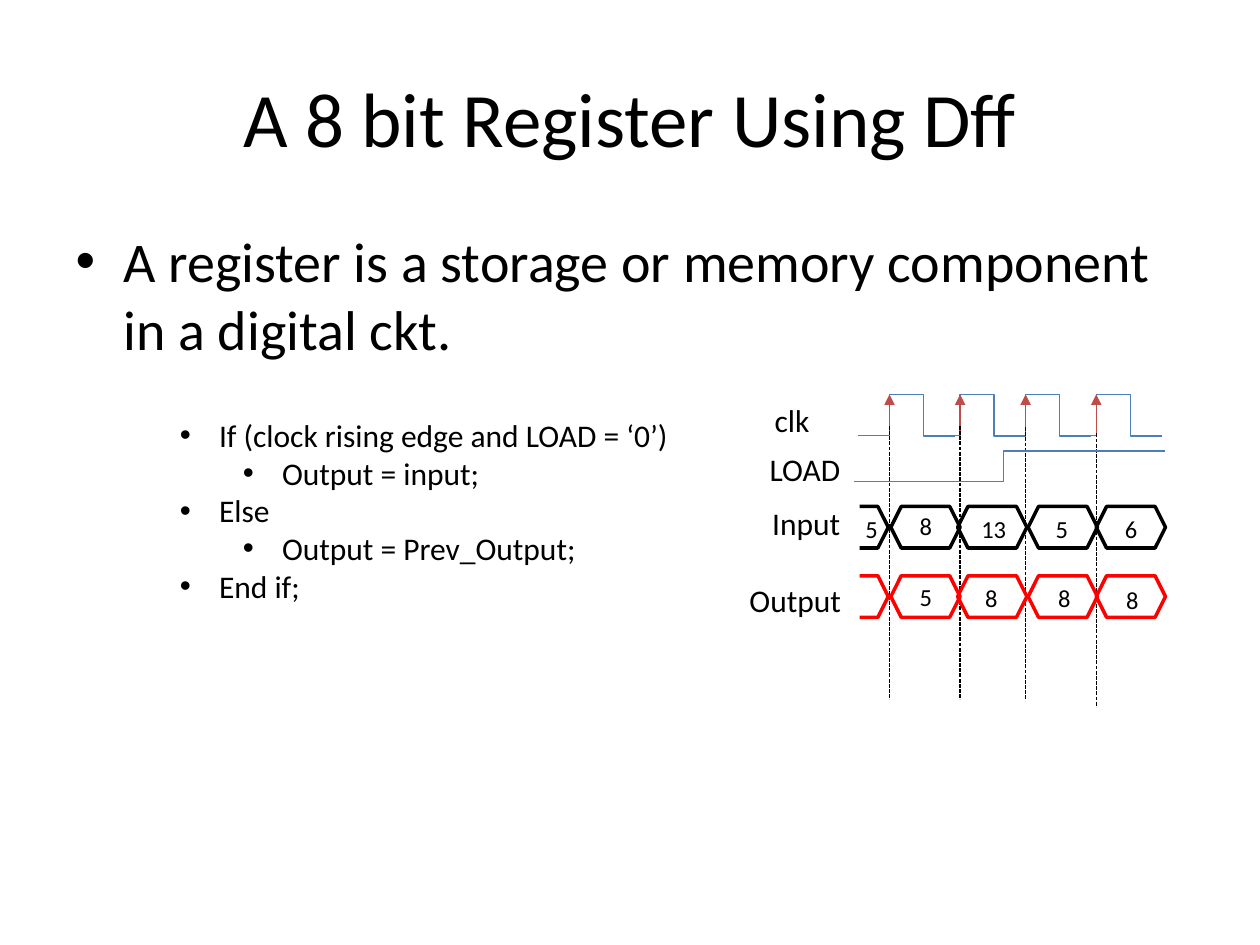
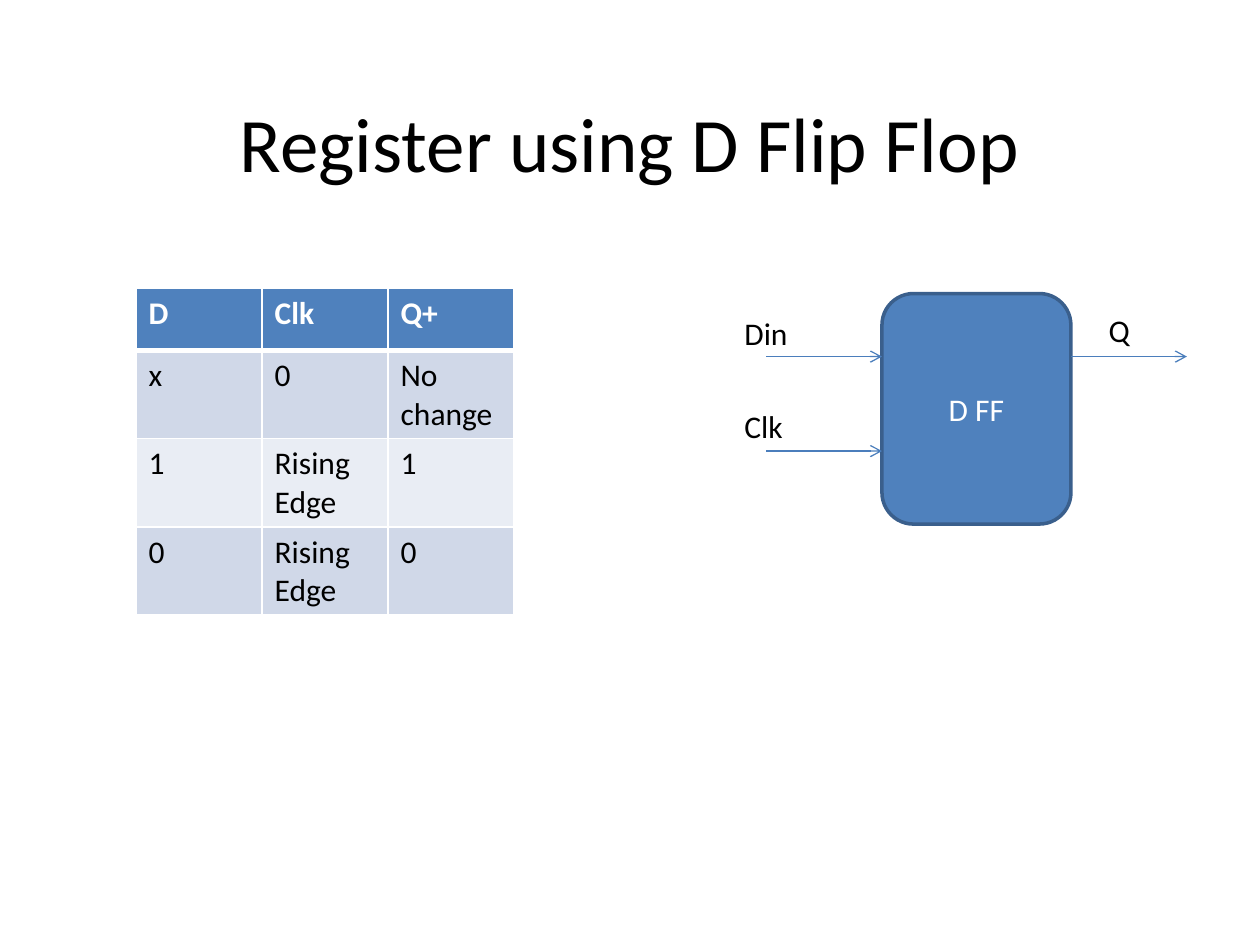
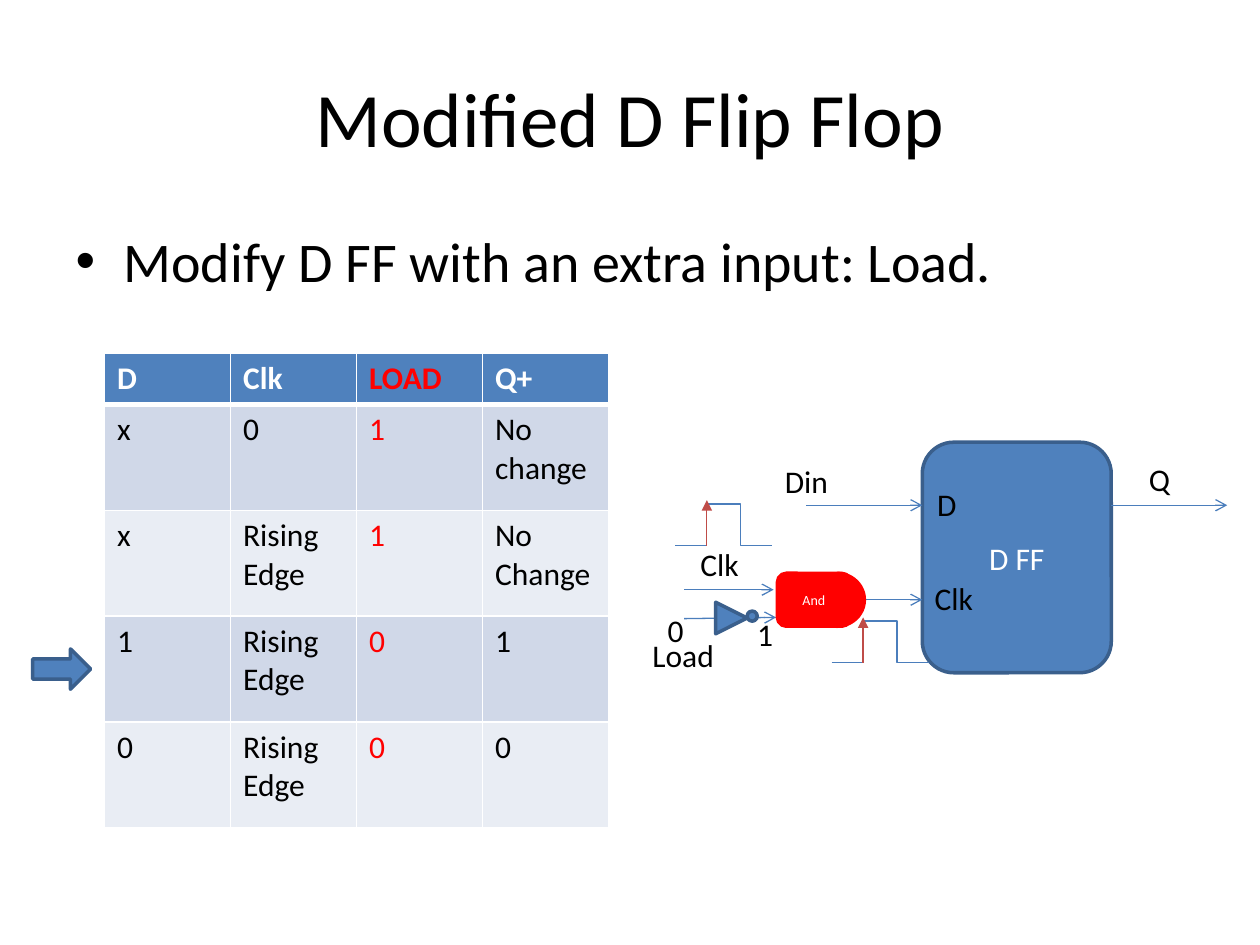
from lxml import etree
from pptx import Presentation, util as u
from pptx.dml.color import RGBColor
from pptx.enum import dml, shapes, text
from pptx.oxml import ns

COLOURS = {
    "black": "000000", "white": "FFFFFF", "red": "FF0000",
    "blue": "4F81BD", "outline": "3A5F8C", "wire": "4B7EBC", "edge": "BF4C48",
    "odd": "D0D8E8", "even": "E9EDF4",
}
FONT = "Calibri"
GEOMETRY = shapes.MSO_SHAPE
CM_PER_INCH = 2.54


def lengths(*inches):
    """Slide coordinates in inches as Cm lengths."""
    return [u.Cm(value * CM_PER_INCH) for value in inches]


def colour(name):
    return RGBColor.from_string(COLOURS[name])


def apply(target, values):
    for name, value in values.items():
        setattr(target, name, value)


def add_xml(parent, tag, **attributes):
    return etree.SubElement(parent, ns.qn(tag), attributes)


class Deck:
    """Holds the shared style and the slide being filled."""

    def __init__(self):
        self.presentation = Presentation()
        width, height = lengths(10, 7.5)
        apply(self.presentation, {"slide_width": width, "slide_height": height})
        self.slide = None

    # Text
    def format_text(self, frame, size=18, tint="black", align=text.PP_ALIGN.LEFT, bold=False):
        for paragraph in frame.paragraphs:
            paragraph.alignment = align
            for run in paragraph.runs:
                apply(run.font, {"name": FONT, "size": u.Pt(size), "bold": bold})
                run.font.color.rgb = colour(tint)

    def bullet(self, paragraph, margin, hanging):
        left, indent = lengths(margin, -hanging)
        properties = paragraph._p.get_or_add_pPr()
        properties.set("marL", str(left))
        properties.set("indent", str(indent))
        add_xml(properties, "a:buFont", typeface="Arial")
        add_xml(properties, "a:buChar", char="•")

    def start(self, title, statement=None, top=0.3):
        layout = self.presentation.slide_layouts[1 if statement else 5]
        self.slide = self.presentation.slides.add_slide(layout)
        heading = self.slide.shapes.title
        self.fill_placeholder(heading, title, (0.5, top, 9, 1.25), 44, text.PP_ALIGN.CENTER)
        heading.text_frame.vertical_anchor = text.MSO_ANCHOR.MIDDLE
        if statement:
            body = self.slide.placeholders[1]
            self.fill_placeholder(body, statement, (0.5, 1.75, 9, 4.95), 32, text.PP_ALIGN.LEFT)
            self.bullet(body.text_frame.paragraphs[0], 0.38, 0.38)

    def fill_placeholder(self, placeholder, words, box, size, align):
        apply(placeholder, dict(zip(("left", "top", "width", "height"), lengths(*box))))
        placeholder.text_frame.text = words
        self.format_text(placeholder.text_frame, size, align=align)

    def label(self, words, left, top, width, height=0.4, size=18, wrap=False):
        box = self.slide.shapes.add_textbox(*lengths(left, top, width, height))
        frame = box.text_frame
        frame.text = words
        apply(frame, {"word_wrap": wrap, "auto_size": text.MSO_AUTO_SIZE.SHAPE_TO_FIT_TEXT})
        self.format_text(frame, size)
        return frame

    def bullets(self, items, *box):
        frame = self.label("\n".join(words for _, words in items), *box, wrap=True)
        for paragraph, (level, _) in zip(frame.paragraphs, items):
            paragraph.level = level
            self.bullet(paragraph, 0.31 + 0.5 * level, 0.31)

    # Shapes and lines
    def shape(self, kind, box, fill="blue", line="outline", words="", size=18, rotation=0):
        shape = self.slide.shapes.add_shape(kind, *lengths(*box))
        shape.shadow.inherit = False
        shape.rotation = rotation
        if fill:
            shape.fill.solid()
            shape.fill.fore_color.rgb = colour(fill)
        else:
            shape.fill.background()
        shape.line.color.rgb = colour(line)
        shape.line.width = u.Pt(2)
        if words:
            shape.text_frame.text = words
            shape.text_frame.vertical_anchor = text.MSO_ANCHOR.MIDDLE
            self.format_text(shape.text_frame, size, "white", text.PP_ALIGN.CENTER)
        return shape

    def line(self, start, end, tint="wire", arrow=None, dash=None, bend=None):
        kind = shapes.MSO_CONNECTOR.ELBOW if bend else shapes.MSO_CONNECTOR.STRAIGHT
        connector = self.slide.shapes.add_connector(kind, *lengths(*start, *end))
        connector.line.color.rgb = colour(tint)
        connector.line.width = u.Pt(0.75)
        if dash:
            connector.line.dash_style = dash
        if arrow:
            add_xml(connector.line._get_or_add_ln(), "a:tailEnd", type=arrow)
        properties = connector._element.spPr
        add_xml(properties, "a:effectLst")
        if bend:
            guides = properties.find(ns.qn("a:prstGeom")).get_or_add_avLst()
            add_xml(guides, "a:gd", name="adj1", fmla=f"val {round(bend * 100000)}")

    def pulse(self, edge, top, foot, tip):
        """One clock pulse with an arrow on its rising edge."""
        base = top + 0.33
        self.line((edge - 0.25, base), (edge + 0.25, top), bend=0.5)
        self.line((edge + 0.02, top), (edge + 0.52, base), bend=0.5)
        self.line((edge, foot), (edge, tip), "edge", "triangle")

    def flip_flop(self, left, top, clock_start):
        """D flip-flop block with its input and output wires."""
        self.shape(GEOMETRY.ROUNDED_RECTANGLE, (left, top, 1.5, 1.83), words="D FF")
        data, clock = top + 0.5, top + 1.25
        for start, end, level in ((left - 0.92, left, data), (clock_start, left, clock),
                                  (left + 1.5, left + 2.42, data)):
            self.line((start, level), (end, level), arrow="arrow")
        self.label("Din", left - 1.19, top + 0.11, 0.55)
        self.label("Q", left + 1.7, top + 0.09, 0.37)

    # Tables
    def table(self, rows, left, top, heights, red_column=None):
        count = len(rows[0])
        box = lengths(left, top, count, sum(heights))
        table = self.slide.shapes.add_table(len(rows), count, *box).table
        for row, height in zip(table.rows, lengths(*heights)):
            row.height = height
        for r, row in enumerate(rows):
            fill = "blue" if r == 0 else ("odd" if r % 2 else "even")
            for c, words in enumerate(row):
                cell = table.cell(r, c)
                cell.text = words
                tint = "red" if c == red_column else "black" if r else "white"
                self.format_text(cell.text_frame, tint=tint, bold=r == 0)
                self.borders(cell, top=3 if r == 1 else 1, bottom=1 if r else 3)
                cell.fill.solid()
                cell.fill.fore_color.rgb = colour(fill)

    def borders(self, cell, top, bottom):
        properties = cell._tc.get_or_add_tcPr()
        for tag, width in (("a:lnL", 1), ("a:lnR", 1), ("a:lnT", top), ("a:lnB", bottom)):
            border = add_xml(properties, tag, w=str(u.Pt(width)))
            add_xml(add_xml(border, "a:solidFill"), "a:srgbClr", val=COLOURS["white"])


def register_slide(deck):
    deck.start("A 8 bit Register Using Dff",
               "A register is a storage or memory component in a digital ckt.")
    deck.bullets([(0, "If (clock rising edge and LOAD = ‘0’)"), (1, "Output = input;"),
                  (0, "Else"), (1, "Output = Prev_Output;"), (0, "End if;")],
                 1.33, 3.25, 4.25, 1.62)

    # Clock with a dashed guide at each rising edge
    clock_top = 3.13
    for edge, guide_top in ((7.06, 3.38), (7.62, 3.38), (8.14, 3.39), (8.7, 3.44)):
        deck.pulse(edge, clock_top, clock_top + 0.31, clock_top)
        deck.line((edge, guide_top), (edge, guide_top + 2.17), "black",
                  dash=dml.MSO_LINE.SQUARE_DOT)

    # Bus values; a white mask cuts the first cell open
    for bus_top, tint in ((4.02, "black"), (4.57, "red")):
        for left in (6.5, 7.07, 7.6, 8.16, 8.7):
            deck.shape(GEOMETRY.HEXAGON, (left, bus_top, 0.55, 0.33), None, tint)
        deck.shape(GEOMETRY.ROUNDED_RECTANGLE, (6.38, bus_top - 0.19, 0.43, 0.92),
                   "white", "white")
    deck.line((6.78, 3.82), (9.25, 3.58), bend=0.48)

    # Signal names and values
    for name, left, top, width in (("clk", 6.05, 3.13, 0.48), ("LOAD", 6.01, 3.52, 0.77),
                                   ("Input", 6.03, 3.95, 0.75), ("Output", 5.85, 4.56, 0.94)):
        deck.label(name, left, top, width)
    for value, left, top in (("5", 6.77, 4.03), ("8", 7.2, 4.01), ("13", 7.69, 4.03),
                             ("5", 8.28, 4.03), ("6", 8.83, 4.03), ("5", 7.2, 4.57),
                             ("8", 7.72, 4.58), ("8", 8.3, 4.58), ("8", 8.84, 4.59)):
        deck.label(value, left, top, 0.2 + 0.1 * len(value), 0.34, size=14)


def flip_flop_slide(deck):
    deck.start("Register using D Flip Flop", top=0.5)
    deck.flip_flop(7, 2.33, clock_start=6.08)
    deck.label("Clk", 5.81, 3.18, 0.51)
    deck.table([("D", "Clk", "Q+"), ("x", "0", "No change"),
                ("1", "Rising Edge", "1"), ("0", "Rising Edge", "0")],
               1.08, 2.29, [0.49] * 4)


def modified_slide(deck):
    deck.start("Modified D Flip Flop", "Modify D FF with an extra input: Load.")
    deck.flip_flop(7.32, 3.51, clock_start=6.86)
    deck.table([("D", "Clk", "LOAD", "Q+"), ("x", "0", "1", "No change"),
                ("x", "Rising\nEdge", "1", "No\nChange"),
                ("1", "Rising Edge", "0", "1"), ("0", "Rising Edge", "0", "0")],
               0.83, 2.8, [0.41] + [0.84] * 4, red_column=2)
    deck.shape(GEOMETRY.RIGHT_ARROW, (0.26, 5.15, 0.46, 0.32))

    # And gate with its two inputs
    deck.line((5.43, 4.91), (6.16, 4.9), arrow="arrow")
    deck.line((5.43, 4.68), (6.14, 4.68), arrow="arrow")
    gate_nose = deck.shape(GEOMETRY.CHORD, (6.42, 4.55, 0.44, 0.42), "red", "red", rotation=180)
    gate_nose.adjustments[0] = 55.4
    gate_nose.adjustments[1] = 162
    deck.shape(GEOMETRY.ROUNDED_RECTANGLE, (6.17, 4.55, 0.58, 0.42), "red", "red", "And", 8)

    # Inverter on the load input
    deck.shape(GEOMETRY.ISOSCELES_TRIANGLE, (5.68, 4.78, 0.25, 0.25), rotation=90)
    deck.shape(GEOMETRY.OVAL, (5.93, 4.85, 0.08, 0.08))

    # Clock pulses and signal names
    for edge, top in ((5.61, 4), (6.85, 4.93)):
        deck.pulse(edge, top, top + 0.33, top - 0.03)
    for name, left, top, width in (("Clk", 5.46, 4.28, 0.51), ("Load", 5.08, 5, 0.7),
                                   ("Clk", 7.32, 4.55, 0.51), ("D", 7.34, 3.8, 0.36),
                                   ("0", 5.2, 4.8, 0.31), ("1", 5.91, 4.83, 0.31)):
        deck.label(name, left, top, width)


def main():
    deck = Deck()
    for build in (register_slide, flip_flop_slide, modified_slide):
        build(deck)
    deck.presentation.save("out.pptx")


if __name__ == "__main__":
    main()
